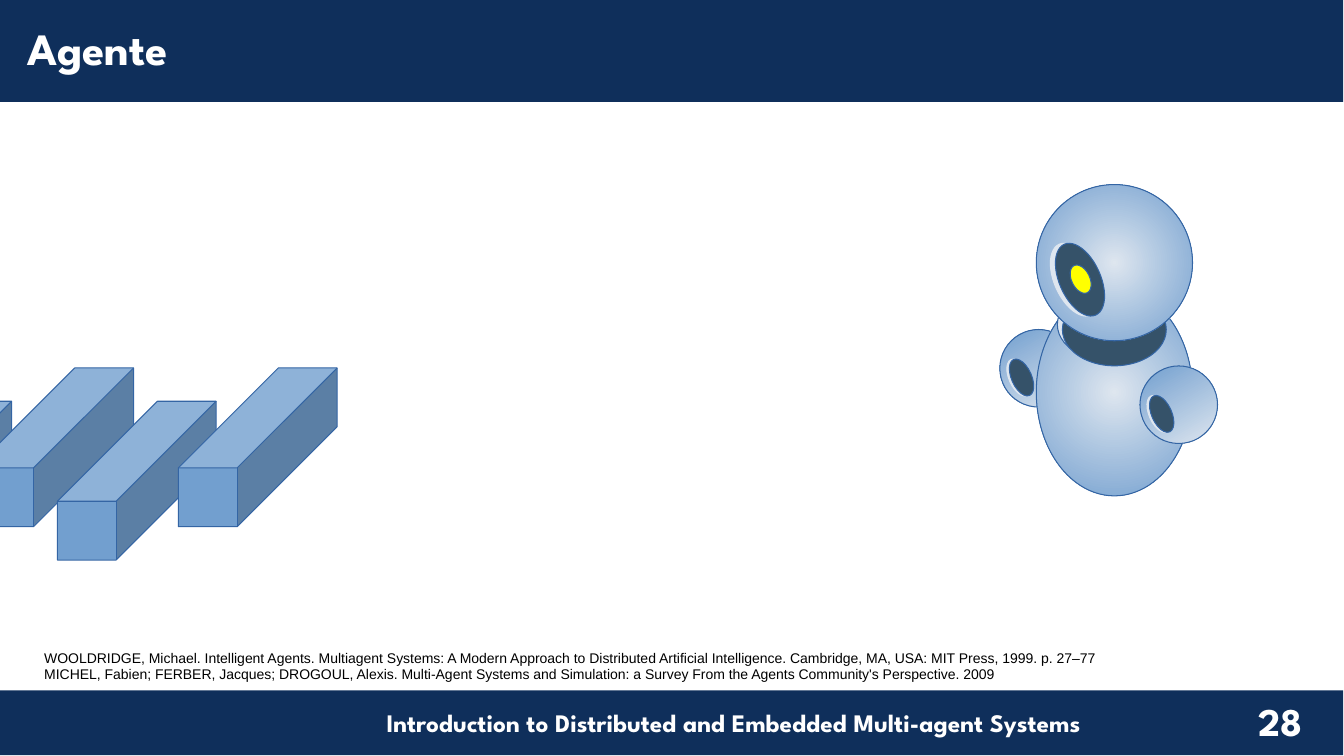
import pptx
import pptx.util
import pptx.dml.color
import pptx.enum.shapes
import pptx.enum.text
import pptx.oxml

Pt = pptx.util.Pt
SHAPE = pptx.enum.shapes.MSO_SHAPE
ALIGN = pptx.enum.text.PP_ALIGN

NAVY, WHITE, BLACK = "0F2F5B", "FFFFFF", "000000"
BLUE, PALE, SLATE, EDGE, YELLOW = "729FCF", "DEE6EF", "355269", "3465A4", "FFFF00"
HEADING_FONT = "League Spartan"
RADIAL = (
    '<a:path xmlns:a="http://schemas.openxmlformats.org/drawingml/2006/main" path="circle">'
    '<a:fillToRect l="50000" t="50000" r="50000" b="50000"/></a:path>'
)
REFERENCES = [
    "WOOLDRIDGE, Michael. Intelligent Agents. Multiagent Systems: A Modern Approach to "
    "Distributed Artificial Intelligence. Cambridge, MA, USA: MIT Press, 1999. p. 27–77",
    "MICHEL, Fabien; FERBER, Jacques; DROGOUL, Alexis. Multi-Agent Systems and Simulation: "
    "a Survey From the Agents Community's Perspective. 2009",
]


def rgb(color):
    return pptx.dml.color.RGBColor.from_string(color)


def add_shape(shapes, kind, x, y, w, h, fill=None, line=None, rotation=0):
    sp = shapes.add_shape(kind, Pt(x), Pt(y), Pt(w), Pt(h))
    sp.shadow.inherit = False
    sp.rotation = rotation
    if fill:
        sp.fill.solid()
        sp.fill.fore_color.rgb = rgb(fill)
    if line:
        sp.line.color.rgb = rgb(line)
        sp.line.width = Pt(0)
    else:
        sp.line.fill.background()
    return sp


def add_ball(shapes, x, y, w, h, start, end, radial=True):
    """Ellipse with a gradient that runs from the centre or along a slant."""
    sp = add_shape(shapes, SHAPE.OVAL, x, y, w, h, line=EDGE)
    sp.fill.gradient()
    sp.fill.gradient_angle = 300
    for stop, color in zip(sp.fill.gradient_stops, (start, end)):
        stop.color.rgb = rgb(color)
    if radial:
        lin = next(sp.element.iter("{*}lin"))
        lin.getparent().replace(lin, pptx.oxml.parse_xml(RADIAL))


def add_lens(shapes, x, y, w, h, shift, rotation=336):
    """Dark ellipse with a pale rim showing on its left side."""
    add_shape(shapes, SHAPE.OVAL, x, y, w, h, PALE, PALE, rotation)
    add_shape(shapes, SHAPE.OVAL, x + shift, y, w, h, SLATE, EDGE, rotation)


def add_arm(shapes, x, y):
    add_ball(shapes, x, y, 55.4, 55.4, BLUE, PALE, radial=False)
    add_lens(shapes, x + 6.5, y + 20.2, 14.4, 28.1, 1.8)


def add_robot(s):
    robot = s.shapes.add_group_shape().shapes
    add_arm(robot, 714.2, 235.4)
    add_ball(robot, 740.2, 205.9, 111.6, 148.3, PALE, BLUE)
    add_shape(robot, SHAPE.OVAL, 755.3, 205.9, 74.2, 51.8, PALE, EDGE)
    add_shape(robot, SHAPE.OVAL, 758.9, 209.5, 74.2, 51.8, SLATE, EDGE)
    add_ball(robot, 740.2, 131.8, 111.6, 111.6, PALE, BLUE)
    add_lens(robot, 753.1, 172.1, 29.5, 55.4, 3.6)
    add_shape(robot, SHAPE.OVAL, 765.4, 188.6, 13, 21.6, YELLOW, EDGE, 334.2)
    add_arm(robot, 814.3, 261.4)


def add_blocks(s):
    for i, x in enumerate((-105.1, -18, 41, 127.4)):
        y = 262.8 if i % 2 else 286.6
        sp = add_shape(s.shapes, SHAPE.CUBE, x, y, 113.4, 113.4, BLUE, EDGE)
        sp.adjustments[0] = 0.63


def write(sp, lines, size, font=HEADING_FONT, color=WHITE, bold=True, align=ALIGN.LEFT):
    tf = sp.text_frame
    tf.word_wrap = True
    tf.auto_size = pptx.enum.text.MSO_AUTO_SIZE.NONE
    tf.vertical_anchor = pptx.enum.text.MSO_ANCHOR.TOP
    tf.text = "\n".join(lines)
    for p in tf.paragraphs:
        p.alignment = align
        for r in p.runs:
            r.font.name = font
            r.font.size = Pt(size)
            r.font.bold = bold
            r.font.color.rgb = rgb(color)


def add_text(s, x, y, w, h, lines, size, **style):
    write(s.shapes.add_textbox(Pt(x), Pt(y), Pt(w), Pt(h)), lines, size, **style)


def add_title(s, x, y, w, h, text):
    """Place the title placeholder in front of the header bar."""
    title = s.shapes.title
    title.left, title.top, title.width, title.height = Pt(x), Pt(y), Pt(w), Pt(h)
    write(title, [text], 32)
    title.element.getparent().append(title.element)


def main():
    prs = pptx.Presentation()
    prs.slide_width, prs.slide_height = Pt(960), Pt(540)
    s = prs.slides.add_slide(prs.slide_layouts[5])
    add_shape(s.shapes, SHAPE.RECTANGLE, 0, 493.2, 959.4, 46.2, NAVY)
    add_shape(s.shapes, SHAPE.RECTANGLE, 0, 0, 959.4, 72.7, NAVY)
    add_text(s, 164.2, 501.8, 720, 28.8,
             ["Introduction to Distributed and Embedded Multi-agent Systems"], 18,
             align=ALIGN.CENTER)
    add_text(s, 874.8, 494.6, 79.2, 45.4, ["28"], 28, align=ALIGN.CENTER)
    add_title(s, 12.2, 11.5, 947.5, 45.4, "Agente")
    add_text(s, 24.5, 460.1, 920.9, 31, REFERENCES, 10,
             font="Arial", color=BLACK, bold=False)
    add_robot(s)
    add_blocks(s)
    prs.save("out.pptx")


if __name__ == "__main__":
    main()
